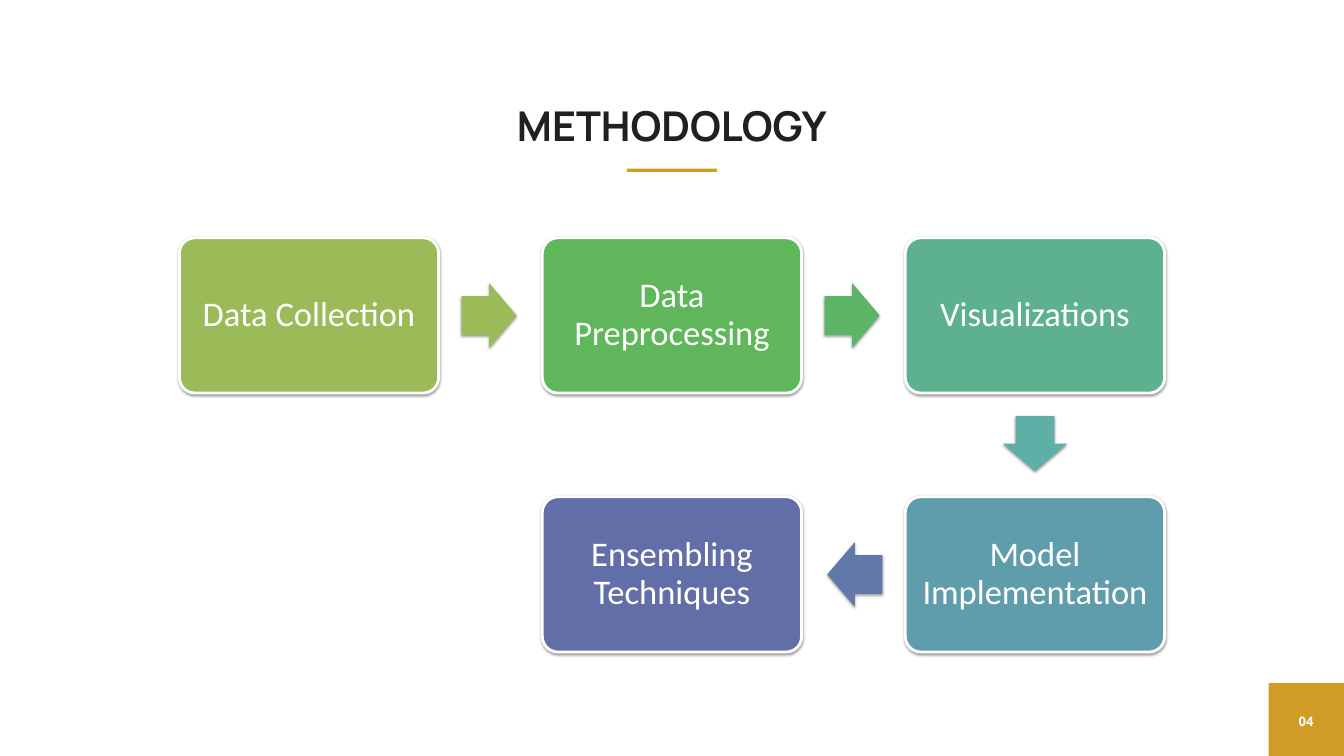
from lxml import etree
from pptx import Presentation
from pptx import util as u
from pptx.dml.color import RGBColor
from pptx.enum import shapes, text
from pptx.oxml import ns

TITLE = "METHODOLOGY"
PAGE_NUMBER = "04"
STEPS = [
    ("Data Collection", 0, 0, "9BBB59"),
    ("Data Preprocessing", 1, 0, "5FB65B"),
    ("Visualizations", 2, 0, "5DB18E"),
    ("Model Implementation", 2, 1, "5F9DAC"),
    ("Ensembling Techniques", 1, 1, "626EA7"),
]
ARROW_COLORS = ["9BBB59", "5CB565", "5EAFA6", "6179A8"]
ROTATIONS = {(1, 0): 0, (0, 1): 90, (-1, 0): 180}

THEME = {
    "dark": "1F2020", "white": "FFFFFF", "accent": "D19C26", "shadow": "000000",
    "title_font": "Manrope", "number_font": "Open Sans", "step_font": "Calibri",
    "title_size": 44, "number_size": 14, "step_size": 37,
}

SLIDE_WIDTH, SLIDE_HEIGHT = 50.8, 28.58
GRID_LEFT, GRID_TOP = 6.78, 8.99
BOX_WIDTH, BOX_HEIGHT = 9.8, 5.87
COLUMN_PITCH, ROW_PITCH = 13.72, 9.79
ARROW_LENGTH, ARROW_WIDTH = 2.08, 2.44
ARROW_SETBACK = 0.05
BADGE = 2.85


def write(shape, content, font, size, color, bold=False, spacing=None, inset=0):
    frame = shape.text_frame
    frame.word_wrap = True
    frame.margin_left = frame.margin_right = u.Cm(inset)
    frame.margin_top = frame.margin_bottom = u.Cm(inset)
    paragraph = frame.paragraphs[0]
    paragraph.text = content
    paragraph.alignment = text.PP_ALIGN.CENTER
    paragraph.line_spacing = spacing
    paragraph.font.name = font
    paragraph.font.size = u.Pt(size)
    paragraph.font.bold = bold
    paragraph.font.color.rgb = RGBColor.from_string(color)
    return frame


def add_text_box(slide, content, left, top, width, height, **style):
    box = slide.shapes.add_textbox(u.Cm(left), u.Cm(top), u.Cm(width), u.Cm(height))
    write(box, content, **style)


def add_filled(slide, kind, left, top, width, height, fill, outline=None):
    shape = slide.shapes.add_shape(kind, u.Cm(left), u.Cm(top), u.Cm(width), u.Cm(height))
    shape.fill.solid()
    shape.fill.fore_color.rgb = RGBColor.from_string(fill)
    if outline:
        shape.line.color.rgb = RGBColor.from_string(outline)
        shape.line.width = u.Pt(3)
    else:
        shape.line.fill.background()
    shape.shadow.inherit = False
    return shape


def add_shadow(shape):
    effects = shape.element.spPr.find(ns.qn("a:effectLst"))
    shadow = etree.SubElement(
        effects, ns.qn("a:outerShdw"), blurRad=str(u.Pt(3.1)), dist=str(u.Pt(1.6)),
        dir="5400000", rotWithShape="0")
    color = etree.SubElement(shadow, ns.qn("a:srgbClr"), val=THEME["shadow"])
    etree.SubElement(color, ns.qn("a:alpha"), val="38000")


def box_center(column, row):
    return (GRID_LEFT + column * COLUMN_PITCH + BOX_WIDTH / 2,
            GRID_TOP + row * ROW_PITCH + BOX_HEIGHT / 2)


def add_step(slide, label, column, row, color):
    x, y = box_center(column, row)
    box = add_filled(slide, shapes.MSO_SHAPE.ROUNDED_RECTANGLE, x - BOX_WIDTH / 2,
                     y - BOX_HEIGHT / 2, BOX_WIDTH, BOX_HEIGHT, color, THEME["white"])
    box.adjustments[0] = 0.1
    add_shadow(box)
    frame = write(box, label, font=THEME["step_font"], size=THEME["step_size"],
                  color=THEME["white"], spacing=0.9, inset=0.35)
    frame.vertical_anchor = text.MSO_ANCHOR.MIDDLE


def add_step_arrow(slide, start, end, color):
    direction = (end[0] - start[0], end[1] - start[1])
    (x1, y1), (x2, y2) = box_center(*start), box_center(*end)
    x = (x1 + x2) / 2 - direction[0] * ARROW_SETBACK
    y = (y1 + y2) / 2 - direction[1] * ARROW_SETBACK
    arrow = add_filled(slide, shapes.MSO_SHAPE.RIGHT_ARROW, x - ARROW_LENGTH / 2,
                       y - ARROW_WIDTH / 2, ARROW_LENGTH, ARROW_WIDTH, color)
    arrow.adjustments[0] = 0.6
    arrow.adjustments[1] = 0.5
    arrow.rotation = ROTATIONS[direction]
    add_shadow(arrow)


def main():
    presentation = Presentation()
    presentation.slide_width = u.Cm(SLIDE_WIDTH)
    presentation.slide_height = u.Cm(SLIDE_HEIGHT)
    slide = presentation.slides.add_slide(presentation.slide_layouts[6])
    rectangle = shapes.MSO_SHAPE.RECTANGLE

    add_text_box(slide, TITLE, 16.62, 3.68, 17.56, 1.96, font=THEME["title_font"],
                 size=THEME["title_size"], color=THEME["dark"], bold=True,
                 spacing=u.Pt(56.3))
    add_filled(slide, rectangle, 23.7, 6.38, 3.4, 0.12, THEME["accent"])
    add_filled(slide, rectangle, SLIDE_WIDTH - BADGE, 25.83, BADGE, BADGE, THEME["accent"])
    add_text_box(slide, PAGE_NUMBER, 48.37, 26.87, 2, 0.66, font=THEME["number_font"],
                 size=THEME["number_size"], color=THEME["white"], bold=True,
                 spacing=u.Pt(19.6))

    for step in STEPS:
        add_step(slide, *step)
    for start, end, color in zip(STEPS, STEPS[1:], ARROW_COLORS):
        add_step_arrow(slide, start[1:3], end[1:3], color)

    presentation.save("out.pptx")


if __name__ == "__main__":
    main()
